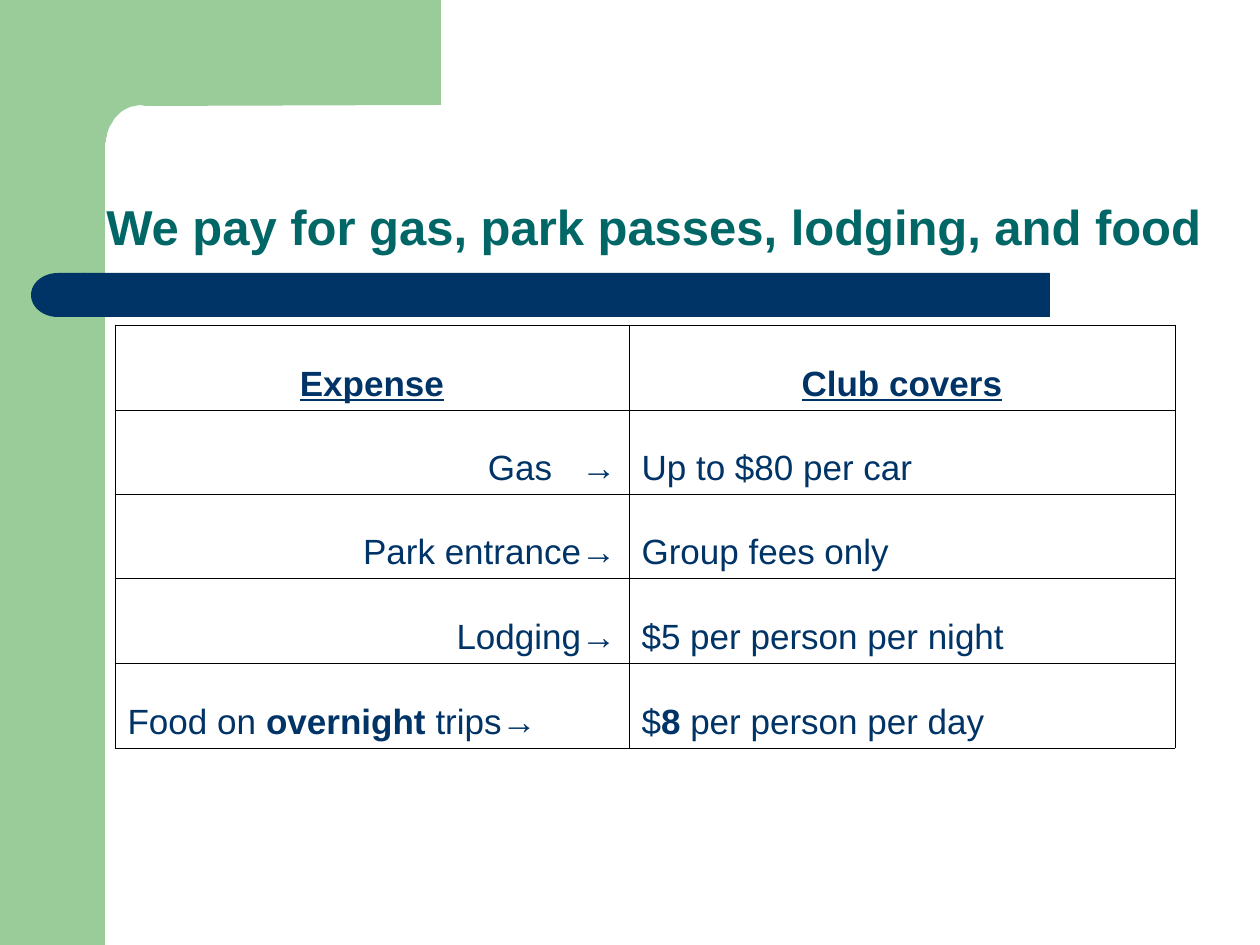
"""Build the slide on which expenses the club covers."""
import pptx
import pptx.util
import pptx.dml.color
import pptx.enum.shapes
import pptx.enum.text
import pptx.oxml.ns
import lxml.etree

SHAPE = pptx.enum.shapes.MSO_SHAPE
ALIGN = pptx.enum.text.PP_ALIGN
ANCHOR = pptx.enum.text.MSO_ANCHOR
SCALE = 914400 // 126
COLORS = {"green": "99CC99", "navy": "003366", "teal": "006666", "line": "000000"}

TITLE = "We pay for gas, park passes, lodging, and food"
HEADERS = ["Expense", "Club covers"]
ROWS = [
    (["Gas", (" ", {"spacing": 11.1}), "→"], ["Up to $80 per car"], ALIGN.RIGHT),
    (["Park entrance→"], ["Group fees only"], ALIGN.RIGHT),
    (["Lodging→"], ["$5 per person per night"], ALIGN.RIGHT),
    (["Food on ", ("overnight", {"bold": True}), " trips→"],
     ["$", ("8", {"bold": True}), " per person per day"], ALIGN.LEFT),
]
TABLE_PLACE = (115, 325)
COLUMN_WIDTHS = [514, 546]
ROW_HEIGHTS = [85, 84, 84, 85, 85]

CORNER_START = [(441, 0), (441, 105), (146, 106), (140, 105), (130, 107)]
CORNER_CURVES = [
    [(126, 108), (121, 112), (117, 116)],
    [(113, 120), (110, 126), (108, 131)],
    [(106, 136), (106, 141), (105, 146)],
]
CORNER_END = [(105, 161), (63, 161), (63, 0)]


def px(length):
    return pptx.util.Emu(length * SCALE)


def rgb(name):
    return pptx.dml.color.RGBColor.from_string(COLORS[name])


def paint(shape, color):
    shape.shadow.inherit = False
    shape.fill.solid()
    shape.fill.fore_color.rgb = rgb(color)
    shape.line.fill.background()
    return shape


def add_block(page, kind, place, color):
    return paint(page.shapes.add_shape(kind, *map(px, place)), color)


def curve_points(start, controls, steps=6):
    points = [start, *controls]
    for step in range(1, steps + 1):
        t = step / steps
        weights = [(1 - t) ** 3, 3 * t * (1 - t) ** 2, 3 * t ** 2 * (1 - t), t ** 3]
        yield tuple(sum(w * p[axis] for w, p in zip(weights, points)) for axis in (0, 1))


def add_corner(page):
    outline = list(CORNER_START)
    for controls in CORNER_CURVES:
        outline.extend(curve_points(outline[-1], controls))
    outline.extend(CORNER_END)
    builder = page.shapes.build_freeform(*outline[0], scale=SCALE)
    builder.add_line_segments(outline[1:], close=True)
    paint(builder.convert_to_shape(), "green")


def write(frame, spans, size=20, color="navy", bold=False, underline=False,
          align=ALIGN.LEFT, line_spacing=None):
    frame.word_wrap = True
    para = frame.paragraphs[0]
    para.alignment = align
    para.line_spacing = line_spacing
    for item in spans:
        text, style = (item, {}) if isinstance(item, str) else item
        span = para.add_run()
        span.text = text
        span.font.name = "Arial"
        span.font.size = pptx.util.Pt(size)
        span.font.bold = style.get("bold", bold)
        span.font.underline = underline
        span.font.color.rgb = rgb(color)
        if "spacing" in style:
            span.font._element.set("spc", str(round(style["spacing"] * 100)))


def add_borders(cell):
    properties = cell._tc.get_or_add_tcPr()
    qn = pptx.oxml.ns.qn
    for position, side in enumerate(("a:lnL", "a:lnR", "a:lnT", "a:lnB")):
        line = lxml.etree.Element(qn(side), w=str(pptx.util.Pt(0.45)))
        fill = lxml.etree.SubElement(line, qn("a:solidFill"))
        lxml.etree.SubElement(fill, qn("a:srgbClr"), val=COLORS["line"])
        properties.insert(position, line)


def add_expense_table(page):
    size = sum(COLUMN_WIDTHS), sum(ROW_HEIGHTS)
    table = page.shapes.add_table(
        len(ROW_HEIGHTS), len(COLUMN_WIDTHS), *map(px, TABLE_PLACE + size)).table
    for column, width in zip(table.columns, COLUMN_WIDTHS):
        column.width = px(width)
    for row, height in zip(table.rows, ROW_HEIGHTS):
        row.height = px(height)
    for index, header in enumerate(HEADERS):
        write(table.cell(0, index).text_frame, [header], bold=True,
              underline=True, align=ALIGN.CENTER)
    for index, (expense, cover, align) in enumerate(ROWS, start=1):
        write(table.cell(index, 0).text_frame, expense, align=align)
        write(table.cell(index, 1).text_frame, cover)
    for cell in table.iter_cells():
        cell.vertical_anchor = ANCHOR.BOTTOM
        cell.fill.background()
        add_borders(cell)


def main():
    deck = pptx.Presentation()
    deck.slide_width, deck.slide_height = px(1260), px(945)
    page = deck.slides.add_slide(deck.slide_layouts[6])
    add_block(page, SHAPE.RECTANGLE, (0, 0, 105, 945), "green")
    add_corner(page)
    bar = add_block(page, SHAPE.ROUNDED_RECTANGLE, (84, 273, 966, 44), "navy")
    bar.adjustments[0] = 0
    cap = add_block(page, SHAPE.FLOWCHART_DELAY, (31, 273, 54, 44), "navy")
    cap._element.spPr.get_or_add_xfrm().set("flipH", "1")
    box = page.shapes.add_textbox(*map(px, (94, 105, 1166, 157)))
    box.text_frame.vertical_anchor = ANCHOR.BOTTOM
    write(box.text_frame, [TITLE], size=28, color="teal", bold=True, line_spacing=0.9)
    add_expense_table(page)
    deck.save("out.pptx")


if __name__ == "__main__":
    main()
